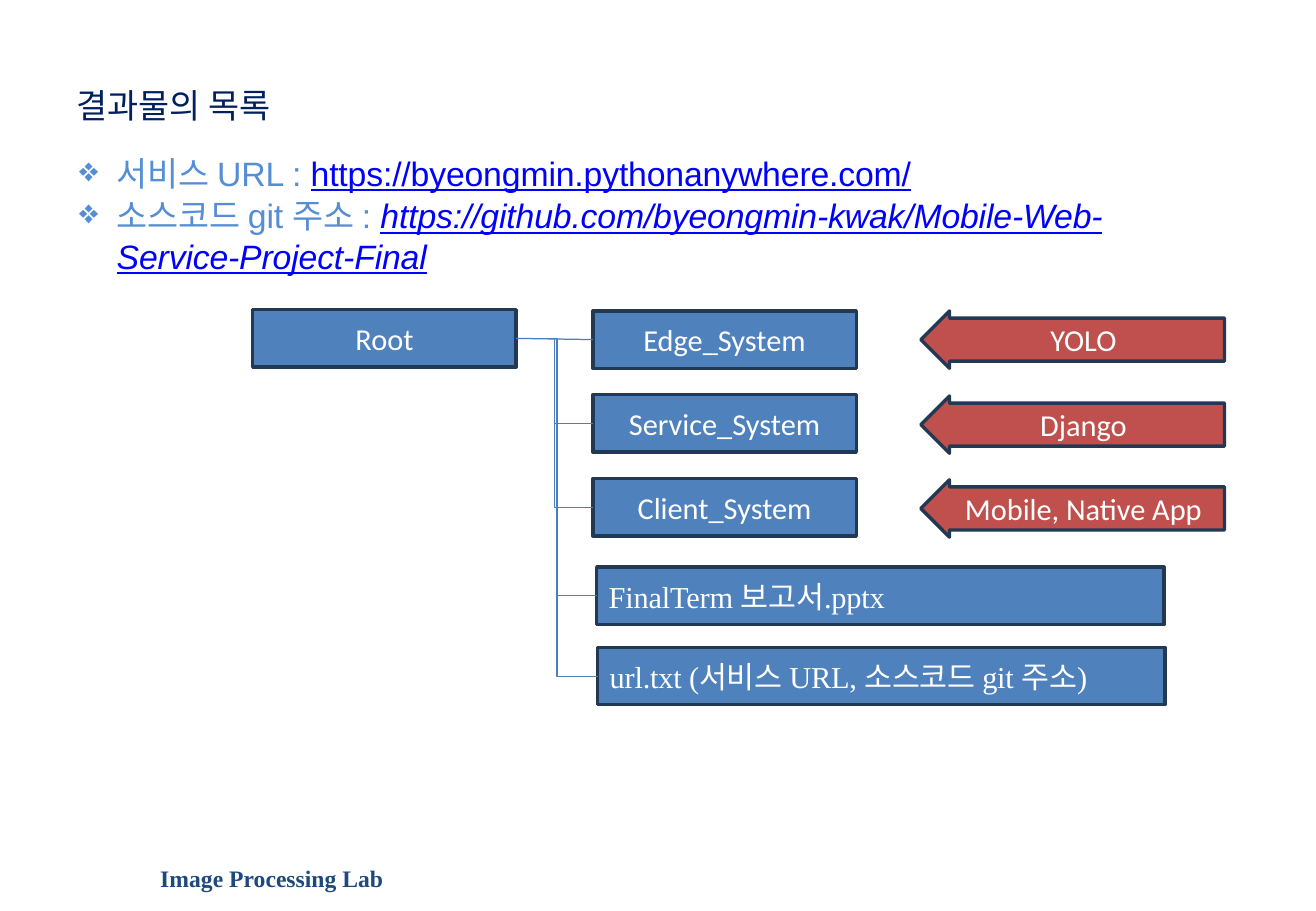
from lxml.etree import SubElement
from pptx import Presentation
from pptx.dml.color import RGBColor
from pptx.enum.shapes import MSO_CONNECTOR, MSO_SHAPE
from pptx.enum.text import MSO_ANCHOR, MSO_AUTO_SIZE, PP_ALIGN
from pptx.oxml.ns import qn
from pptx.util import Pt

TITLE = "결과물의 목록"
LINKS = [
    ("서비스 URL : ", "https://byeongmin.pythonanywhere.com/", False),
    ("소스코드 git 주소 : ",
     "https://github.com/byeongmin-kwak/Mobile-Web-Service-Project-Final", True),
]
ROOT = "Root"
# folder, technology, top of the technology arrow
SYSTEMS = [
    ("Edge_System", "YOLO", 184.3),
    ("Service_System", "Django", 234.7),
    ("Client_System", "Mobile, Native App", 284.4),
]
# file, left, top
FILES = [
    ("FinalTerm 보고서.pptx", 353.7, 336.2),
    ("url.txt (서비스 URL, 소스코드 git 주소)", 354.3, 383.8),
]
FOOTER = "Image Processing Lab"

COLORS = {
    "title": "002060", "label": "558ED5", "link": "0000FF", "footer": "1F497D",
    "folder": "4F81BD", "technology": "C0504D", "outline": "233953",
    "branch": "4B7EBC", "white": "FFFFFF",
}
SERIF, SANS, BODY = "Times New Roman", "Arial", "Calibri"

FOLDER_WIDTH, FILE_WIDTH, ARROW_WIDTH = 156.2, 336.2, 180
BOX_HEIGHT = 34
ROOT_LEFT, ROOT_TOP = 149.8, 183.6
SYSTEM_LEFT, SYSTEM_TOP, SYSTEM_STEP = 351.4, 184.3, 49.7
ARROW_LEFT = 545.8
LEFT_SITE, RIGHT_SITE = 1, 3


def color(key):
    return RGBColor.from_string(COLORS[key])


def style(font, name, size, key):
    font.name, font.size = name, Pt(size)
    font.color.rgb = color(key)


def tighten(run):
    """Set the letter spacing to -0.1 pt."""
    run.font._element.set("spc", "-10")


def prepare_frame(frame):
    frame.word_wrap = True
    frame.auto_size = MSO_AUTO_SIZE.NONE
    frame.vertical_anchor = MSO_ANCHOR.TOP
    frame.margin_left = frame.margin_right = frame.margin_bottom = 0
    frame.margin_top = Pt(1)


def add_text_box(slide, left, top, width, height):
    frame = slide.shapes.add_textbox(Pt(left), Pt(top), Pt(width), Pt(height)).text_frame
    prepare_frame(frame)
    return frame


def add_box(slide, label, left, top, width, fill="folder",
            preset=MSO_SHAPE.RECTANGLE, font=BODY, align=PP_ALIGN.CENTER):
    box = slide.shapes.add_shape(preset, Pt(left), Pt(top), Pt(width), Pt(BOX_HEIGHT))
    box.shadow.inherit = False
    box.fill.solid()
    box.fill.fore_color.rgb = color(fill)
    box.line.color.rgb = color("outline")
    box.line.width = Pt(2)
    frame = box.text_frame
    frame.word_wrap = True
    frame.vertical_anchor = MSO_ANCHOR.MIDDLE
    frame.text = label
    paragraph = frame.paragraphs[0]
    paragraph.alignment = align
    style(paragraph.runs[0].font, font, 18, "white")
    return box


def add_branch(slide, root, child, kind=MSO_CONNECTOR.ELBOW):
    branch = slide.shapes.add_connector(kind, 0, 0, 0, 0)
    branch.begin_connect(root, RIGHT_SITE)
    branch.end_connect(child, LEFT_SITE)
    branch.line.color.rgb = color("branch")
    branch.line.width = Pt(0.75)
    SubElement(branch._element.spPr, qn("a:effectLst"))


def add_title(slide):
    title = slide.shapes.title
    title.left, title.top, title.width, title.height = Pt(45.4), Pt(49.3), Pt(206.6), Pt(25.2)
    prepare_frame(title.text_frame)
    title.text_frame.text = TITLE
    paragraph = title.text_frame.paragraphs[0]
    paragraph.alignment = PP_ALIGN.LEFT
    style(paragraph.runs[0].font, SERIF, 20, "title")


def add_links(slide):
    frame = add_text_box(slide, 45.4, 89.6, 636.5, 74.9)
    for index, (label, address, italic) in enumerate(LINKS):
        paragraph = frame.add_paragraph() if index else frame.paragraphs[0]
        properties = paragraph._p.get_or_add_pPr()
        properties.set("marL", str(Pt(23.8)))
        properties.set("indent", str(Pt(-22.3)))
        SubElement(properties, qn("a:buChar")).set("char", "❖")
        if index:
            paragraph.space_before = Pt(1.1)
        for text, key in ((label, "label"), (address, "link")):
            run = paragraph.add_run()
            run.text = text
            style(run.font, SANS, 20, key)
            tighten(run)
        run.font.underline = True
        run.font.italic = italic


def add_tree(slide):
    root = add_box(slide, ROOT, ROOT_LEFT, ROOT_TOP, FOLDER_WIDTH)
    for row, (folder, technology, arrow_top) in enumerate(SYSTEMS):
        system = add_box(slide, folder, SYSTEM_LEFT, SYSTEM_TOP + row * SYSTEM_STEP,
                         FOLDER_WIDTH)
        add_branch(slide, root, system,
                   MSO_CONNECTOR.ELBOW if row else MSO_CONNECTOR.STRAIGHT)
        arrow = add_box(slide, technology, ARROW_LEFT, arrow_top, ARROW_WIDTH,
                        "technology", MSO_SHAPE.LEFT_ARROW)
        arrow.adjustments[0] = 0.75
    for name, left, top in FILES:
        document = add_box(slide, name, left, top, FILE_WIDTH,
                           font=SERIF, align=PP_ALIGN.LEFT)
        tighten(document.text_frame.paragraphs[0].runs[0])
        add_branch(slide, root, document)


def add_footer(slide):
    frame = add_text_box(slide, 95, 511, 134.6, 18.7)
    frame.text = FOOTER
    font = frame.paragraphs[0].runs[0].font
    style(font, SERIF, 14, "footer")
    font.bold = True


def main():
    presentation = Presentation()
    presentation.slide_width, presentation.slide_height = Pt(780), Pt(540)
    slide = presentation.slides.add_slide(presentation.slide_layouts[5])
    add_footer(slide)
    add_title(slide)
    add_links(slide)
    add_tree(slide)
    presentation.save("out.pptx")


if __name__ == "__main__":
    main()
